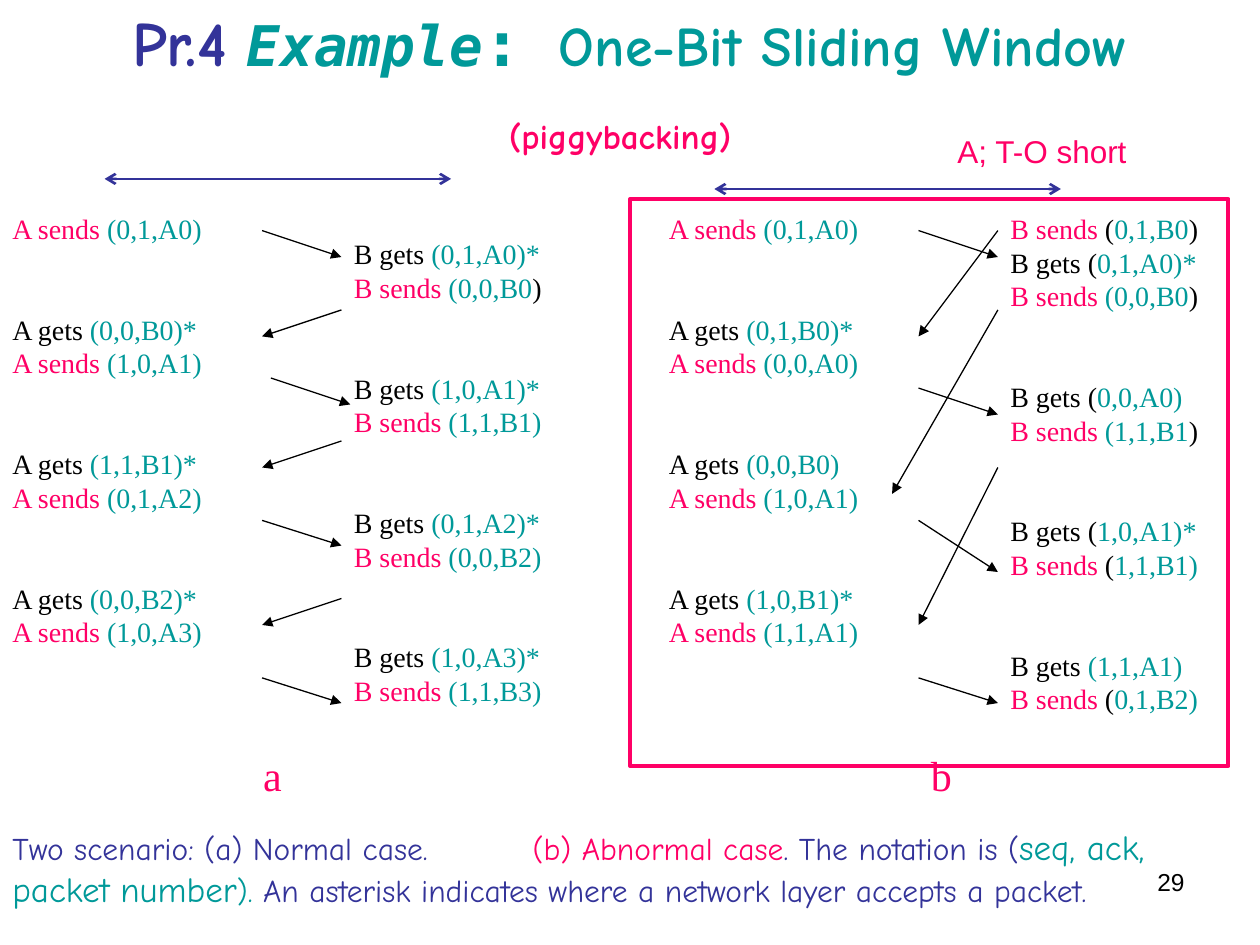
from pptx import Presentation
from pptx.dml.color import RGBColor
from pptx.enum.shapes import MSO_CONNECTOR, MSO_SHAPE
from pptx.enum.text import MSO_ANCHOR, MSO_AUTO_SIZE, PP_ALIGN
from pptx.oxml.ns import qn
from pptx.util import Inches, Pt
from lxml import etree

LINE, RECT = MSO_CONNECTOR.STRAIGHT, MSO_SHAPE.RECTANGLE
LEFT, MID, RIGHT = PP_ALIGN.LEFT, PP_ALIGN.CENTER, PP_ALIGN.RIGHT
HEX = {"blue": "333399", "teal": "009999", "pink": "FF0066",
       "black": "000000", "white": "FFFFFF"}
SANS, SERIF, COMIC, MONO = "Arial", "Times New Roman", "Comic Neue", "DejaVu Sans Mono"

# Content: runs are (text, size, font, colour, extra format)
BOLD = {"bold": True}
TITLE = [
    ("Pr.4", 36, COMIC, "blue", BOLD),
    (" ", 32, COMIC, "teal", BOLD),
    ("Example", 32, MONO, "teal", {"bold": True, "italic": True}),
    (": ", 36, MONO, "teal", BOLD),
    ("One-Bit Sliding Window", 32, COMIC, "teal", BOLD),
    (" ", 20, COMIC, "black", BOLD),
    ("(piggybacking)", 20, COMIC, "pink", BOLD),
    (" ", 40, SANS, "black", {"bold": False}),
]
NOTE = [
    ("Two scenario: (a) Normal case.\t", 18, COMIC, "blue"),
    ("(b) Abnormal case", 18, COMIC, "pink"),
    (". The notation is (", 18, COMIC, "blue"),
    ("seq, ack, packet", 20, COMIC, "teal"),
    (" ", 18, COMIC, "teal"),
    ("number", 20, COMIC, "teal"),
    (").", 18, COMIC, "teal"),
    (" An asterisk indicates where a network layer accepts a packet.", 18, COMIC, "blue"),
]

# Event columns: (box, blocks of lines); the part in [ ] is teal
COLS = [
    ((0, 1.63, 2.29, 4.37), [
        ["A sends [(0,1,A0)]"],
        ["A gets [(0,0,B0)*]", "A sends [(1,0,A1)]"],
        ["A gets [(1,1,B1)*]", "A sends [(0,1,A2)]"],
        ["A gets [(0,0,B2)*]", "A sends [(1,0,A3)]"]]),
    ((2.71, 1.83, 2.08, 4.37), [
        ["B gets [(0,1,A0)*]", "B sends [(0,0,B0])"],
        ["B gets [(1,0,A1)*]", "B sends [(1,1,B1)]"],
        ["B gets [(0,1,A2)*]", "B sends [(0,0,B2)]"],
        ["B gets [(1,0,A3)*]", "B sends [(1,1,B3)]"]]),
    ((5.21, 1.63, 2.29, 4.37), [
        ["A sends [(0,1,A0)]"],
        ["A gets [(0,1,B0)*]", "A sends [(0,0,A0)]"],
        ["A gets [(0,0,B0)]", "A sends [(1,0,A1)]"],
        ["A gets [(1,0,B1)*]", "A sends [(1,1,A1)]"]]),
    ((7.92, 1.63, 2.08, 4.58), [
        ["B sends ([0,1,B0])", "B gets ([0,1,A0)*]", "B sends [(0,0,B0])"],
        ["B gets ([0,0,A0)]", "B sends [(1,1,B1])"],
        ["B gets ([1,0,A1)*]", "B sends ([1,1,B1)]"],
        ["B gets [(1,1,A1)]", "B sends ([0,1,B2)]"]]),
]
STEP = 19.2  # line pitch of the events, points

# Messages: x of side A, x of side B, y at A, y at B, direction
A1, B1, A2, B2 = 2.08, 2.71, 7.29, 7.92
SENT = [  # from A to B
    (A1, 1.83, B1, 2.04), (2.15, 3, 2.78, 3.21), (A1, 4.13, B1, 4.33),
    (A1, 5.38, B1, 5.58), (A2, 1.83, B2, 2.04), (A2, 3.08, B2, 3.29),
    (A2, 4.13, B2, 4.54), (A2, 5.38, B2, 5.58)]
BACK = [  # from B to A
    (B1, 2.46, A1, 2.67), (B1, 3.5, A1, 3.71), (B1, 4.75, A1, 4.96),
    (B2, 1.83, A2, 2.67), (B2, 2.46, 7.08, 3.92), (B2, 3.71, A2, 4.96)]
SPANS = [(0.83, 1.42, 3.58, 1.42), (5.67, 1.5, 8.42, 1.5)]
MARKS = [("a", (1.99, 5.9, 0.62, 0.42)), ("b", (7.29, 5.9, 0.42, 0.44))]

deck = Presentation()
deck.slide_width, deck.slide_height = Inches(10), Inches(7.5)
slide = deck.slides.add_slide(deck.slide_layouts[5])
shapes = slide.shapes


def rgb(name):
    return RGBColor.from_string(HEX[name])


def write(para, runs, **form):
    for key, val in form.items():
        setattr(para, key, val)
    for text, size, face, tint, *more in runs:
        run = para.add_run()
        run.text = text
        look = {"size": Pt(size), "name": face, **(more[0] if more else {})}
        for key, val in look.items():
            setattr(run.font, key, val)
        run.font.color.rgb = rgb(tint)


def box(place, fill=None):
    item = shapes.add_textbox(*map(Inches, place))
    item.text_frame.word_wrap = True
    if fill:
        item.fill.solid()
        item.fill.fore_color.rgb = rgb(fill)
    return item.text_frame


def arrow(ends, tint, width, **tips):
    item = shapes.add_connector(LINE, *map(Inches, ends))
    item.line.color.rgb, item.line.width = rgb(tint), Pt(width)
    prop = item._element.spPr
    for tag, kind in tips.items():
        etree.SubElement(prop.find(qn("a:ln")), qn("a:" + tag), type=kind)
    etree.SubElement(prop, qn("a:effectLst"))


def split(line):
    head, rest = line.split("[")
    teal, end = rest.split("]")
    verb = head.rstrip("( ")
    parts = [(verb, "pink" if "sends" in verb else "black"),
             (head[len(verb):], "black"), (teal, "teal"), (end, "black")]
    return [(text, 16, SERIF, tint) for text, tint in parts if text]


# Title
title = shapes.title
for key, val in zip(("left", "top", "width", "height"), (0.5, 0, 9, 1.33)):
    setattr(title, key, Inches(val))
frame = title.text_frame
frame.auto_size, frame.vertical_anchor = MSO_AUTO_SIZE.NONE, MSO_ANCHOR.MIDDLE
write(frame.paragraphs[0], TITLE, alignment=MID)

# Event columns
for place, blocks in COLS:
    frame = box(place, "white")
    for i, block in enumerate(blocks):
        for j, line in enumerate(block):
            para = frame.add_paragraph() if i or j else frame.paragraphs[0]
            gap = 2 * STEP if i and not j else 0
            write(para, split(line), line_spacing=Pt(STEP), space_before=Pt(gap))

# Messages
for ends in SENT + BACK:
    arrow(ends, "black", 0.75, tailEnd="triangle")

# Panel letters
for mark, place in MARKS:
    write(box(place, "white").paragraphs[0], [(mark, 24, SERIF, "pink")])

# Explanation, with a tab stop before case (b)
para = box((0, 6.5, 9.83, 0.77)).paragraphs[0]
write(para, NOTE, space_before=Pt(11.2))
tabs = etree.SubElement(para._p.get_or_add_pPr(), qn("a:tabLst"))
etree.SubElement(tabs, qn("a:tab"), pos=str(Inches(4.13)), algn="l")

# Time spans, time-out label and frame of the abnormal case
arrow(SPANS[0], "blue", 1.5, headEnd="arrow", tailEnd="arrow")
write(box((7.5, 1, 1.92, 0.4)).paragraphs[0],
      [("A; T-O short", 18, SANS, "pink")], space_before=Pt(11.2), alignment=LEFT)
case = shapes.add_shape(RECT, *map(Inches, (5, 1.58, 4.75, 4.5)))
case.shadow.inherit = False
case.fill.background()
case.line.color.rgb, case.line.width = rgb("pink"), Pt(2.25)
arrow(SPANS[1], "blue", 1.5, headEnd="arrow", tailEnd="arrow")

# Slide number
write(box((7.17, 6.83, 2.33, 0.52)).paragraphs[0],
      [("29", 14, SANS, "black")], alignment=RIGHT)

deck.save("out.pptx")
